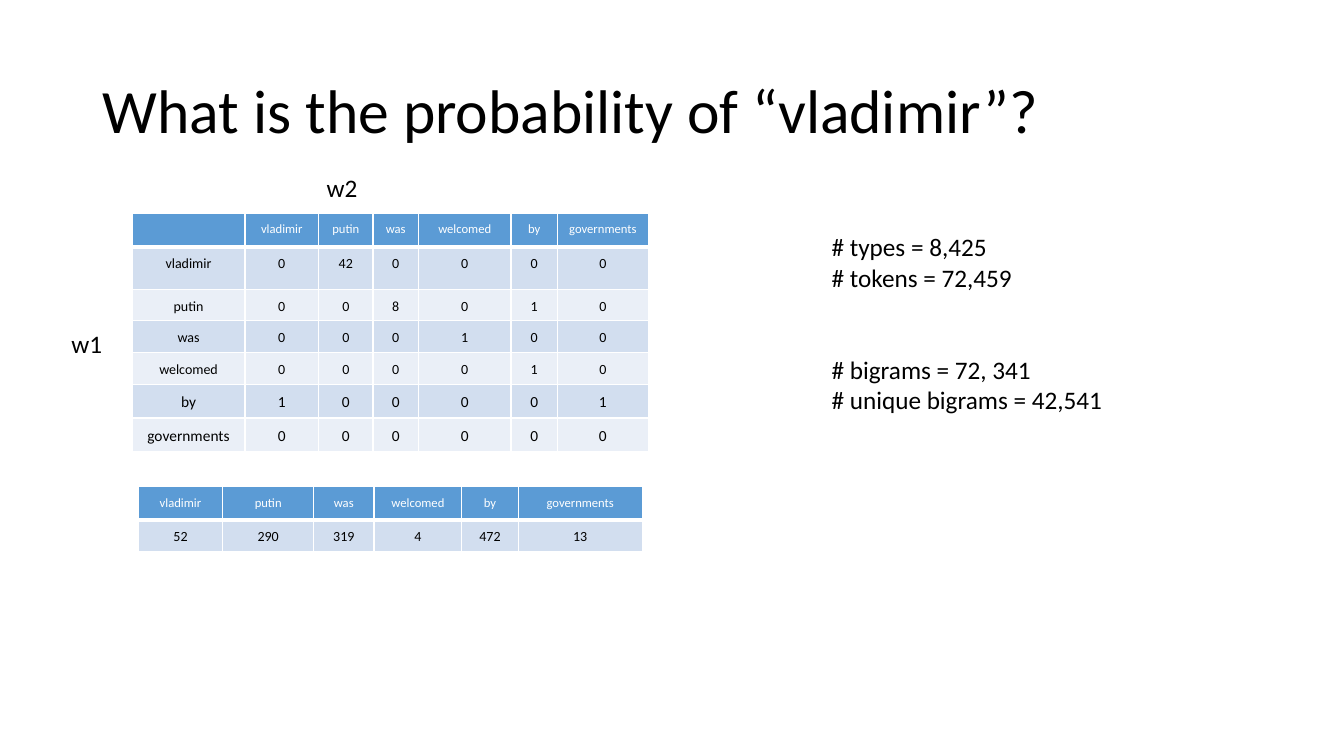
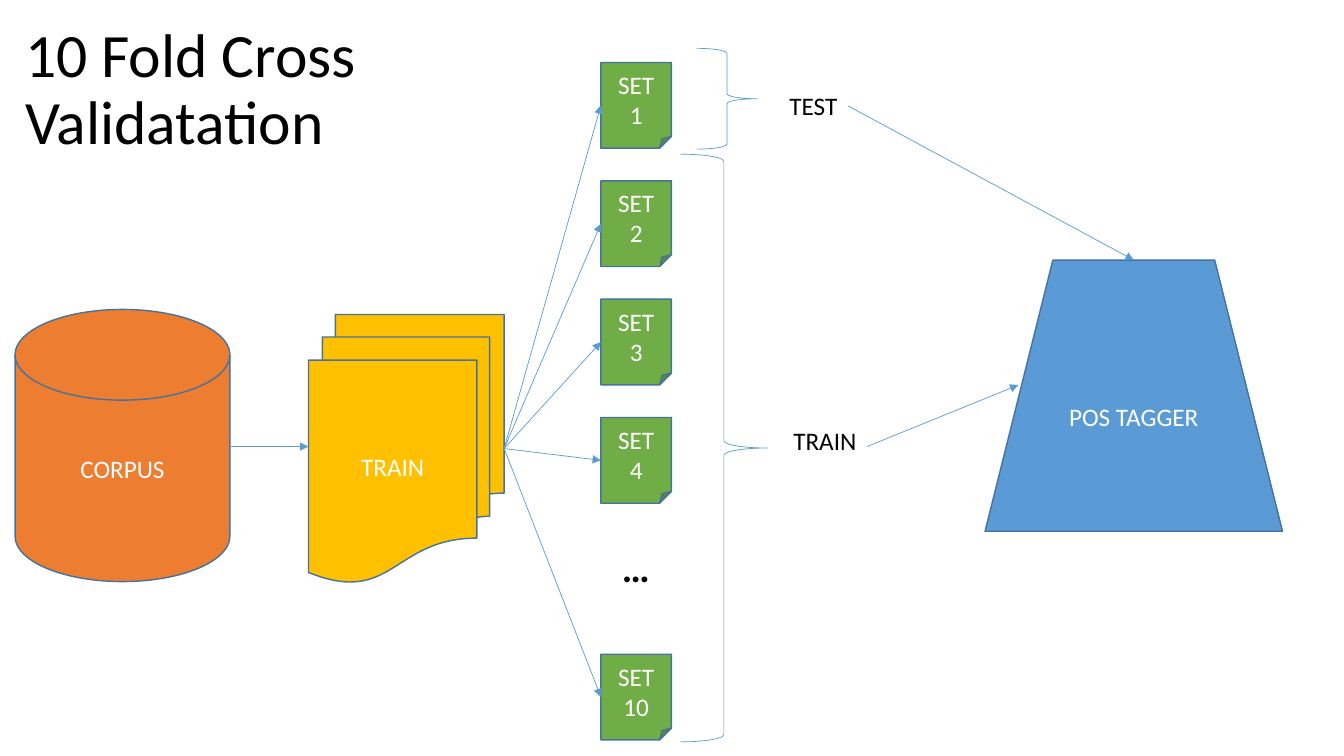
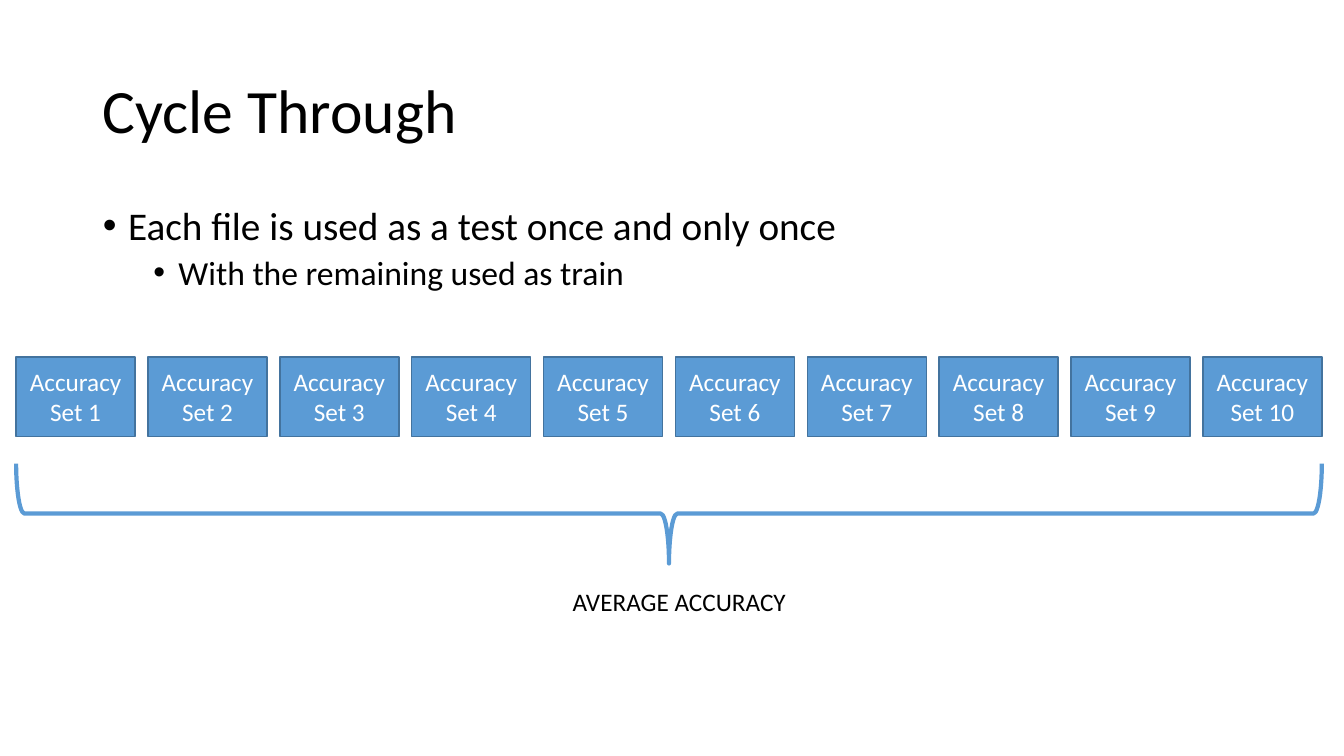
"""Builds three slides on bigram counts and cross validation."""
import pptx
import pptx.util
import pptx.dml.color
import pptx.enum.shapes
import pptx.enum.text
import pptx.oxml.ns
import lxml.etree

Inches = pptx.util.Inches
Pt = pptx.util.Pt
RGBColor = pptx.dml.color.RGBColor
Shape = pptx.enum.shapes.MSO_SHAPE
Align = pptx.enum.text.PP_ALIGN
Anchor = pptx.enum.text.MSO_ANCHOR
Fit = pptx.enum.text.MSO_AUTO_SIZE
qn = pptx.oxml.ns.qn

FONT = "Calibri"
BLACK = RGBColor(0x00, 0x00, 0x00)
WHITE = RGBColor(0xFF, 0xFF, 0xFF)
BLUE = RGBColor(0x5B, 0x9B, 0xD5)
NAVY = RGBColor(0x43, 0x73, 0x9E)
ORANGE = RGBColor(0xED, 0x7D, 0x31)
GOLD = RGBColor(0xFF, 0xC0, 0x00)
GREEN = RGBColor(0x70, 0xAD, 0x47)
BANDS = [RGBColor(0xD2, 0xDE, 0xEF), RGBColor(0xEA, 0xEF, 0xF7)]

WORDS = ["vladimir", "putin", "was", "welcomed", "by", "governments"]
PAIRS = [
    [0, 42, 0, 0, 0, 0],
    [0, 0, 8, 0, 1, 0],
    [0, 0, 0, 1, 0, 0],
    [0, 0, 0, 0, 1, 0],
    [1, 0, 0, 0, 0, 1],
    [0, 0, 0, 0, 0, 0],
]
TOTALS = [52, 290, 319, 4, 472, 13]


def write(frame, lines, size=18, color=BLACK, align=Align.LEFT, bold=False, space=1.0):
    """Fill a text frame with one paragraph per line and return the paragraphs."""
    paras = []
    for i, line in enumerate(lines):
        para = frame.add_paragraph() if i else frame.paragraphs[0]
        para.alignment = align
        para.line_spacing = space
        for j, part in enumerate(line.split("\n")):
            if j:
                para.add_line_break()
            run = para.add_run()
            run.text = part
            run.font.name = FONT
            run.font.size = Pt(size)
            run.font.bold = bold
            run.font.color.rgb = color
        paras.append(para)
    return paras


def place(item, left, top, width, height):
    """Set the position and size of an item in inches."""
    item.left, item.top = Inches(left), Inches(top)
    item.width, item.height = Inches(width), Inches(height)


def start(deck, layout, text, left=0.92, top=0.4):
    """Add a slide with a formatted title."""
    slide = deck.slides.add_slide(deck.slide_layouts[layout])
    title = slide.shapes.title
    place(title, left, top, 11.5, 1.45)
    title.text_frame.auto_size = Fit.NONE
    title.text_frame.vertical_anchor = Anchor.MIDDLE
    write(title.text_frame, [text], 44, space=0.9)
    return slide


def label(slide, box, lines, size=18, bold=False, wrap=False):
    """Add a plain text box."""
    item = slide.shapes.add_textbox(*map(Inches, box))
    item.text_frame.word_wrap = wrap
    item.text_frame.auto_size = Fit.SHAPE_TO_FIT_TEXT
    return item, write(item.text_frame, lines, size, bold=bold)


def block(slide, kind, box, fill, lines):
    """Add a filled shape with centred white text."""
    item = slide.shapes.add_shape(kind, *map(Inches, box))
    item.shadow.inherit = False
    item.fill.solid()
    item.fill.fore_color.rgb = fill
    item.line.color.rgb = NAVY
    item.line.width = Pt(1)
    item.text_frame.vertical_anchor = Anchor.MIDDLE
    write(item.text_frame, lines, color=WHITE, align=Align.CENTER)
    return item


def brace(slide, box, width, turn=0):
    """Add an unfilled right brace."""
    item = slide.shapes.add_shape(Shape.RIGHT_BRACE, *map(Inches, box))
    item.shadow.inherit = False
    item.fill.background()
    item.line.color.rgb = BLUE
    item.line.width = Pt(width)
    item.rotation = turn


def link(slide, tail, head, source=None, target=None):
    """Draw an arrow between two points, joined to shape sites where given."""
    points = map(Inches, (*tail, *head))
    line = slide.shapes.add_connector(pptx.enum.shapes.MSO_CONNECTOR.STRAIGHT, *points)
    line.line.color.rgb = BLUE
    line.line.width = Pt(0.5)
    props = line._element.spPr
    lxml.etree.SubElement(props.find(qn("a:ln")), qn("a:tailEnd"), type="triangle")
    lxml.etree.SubElement(props, qn("a:effectLst"))
    if source:
        line.begin_connect(*source)
    if target:
        line.end_connect(*target)


def border(cell, base):
    """Give a cell white borders, with its own width at the base."""
    props = cell._tc.get_or_add_tcPr()
    for i, side in enumerate(("lnL", "lnR", "lnT", "lnB")):
        width = base if side == "lnB" else 1
        edge = lxml.etree.Element(qn("a:" + side), w=str(Pt(width)))
        fill = lxml.etree.SubElement(edge, qn("a:solidFill"))
        lxml.etree.SubElement(fill, qn("a:srgbClr"), val=str(WHITE))
        props.insert(i, edge)


def grid(slide, left, top, widths, heights, sizes, rows):
    """Add a table with a blue head row and banded body rows."""
    box = map(Inches, (left, top, sum(widths), sum(heights)))
    table = slide.shapes.add_table(len(rows), len(widths), *box).table
    table.first_row = table.horz_banding = False
    for col, width in zip(table.columns, widths):
        col.width = Inches(width)
    for i, row in enumerate(rows):
        table.rows[i].height = Inches(heights[i])
        for j, value in enumerate(row):
            cell = table.cell(i, j)
            cell.margin_left = cell.margin_right = Inches(0.1)
            cell.margin_top = cell.margin_bottom = Inches(0.06)
            cell.fill.solid()
            cell.fill.fore_color.rgb = BANDS[(i - 1) % 2] if i else BLUE
            border(cell, 1 if i else 3)
            if value == "":
                para = cell.text_frame.paragraphs[0]._p
                lxml.etree.SubElement(para, qn("a:endParaRPr"), sz=str(sizes[i] * 100))
            else:
                write(cell.text_frame, [str(value)], sizes[i], BLACK if i else WHITE,
                      Align.CENTER, space=1.15)


def bullet(para, indent, before):
    """Give a paragraph a hanging bullet."""
    para.space_before = Pt(before)
    props = para._p.get_or_add_pPr()
    props.set("marL", str(Inches(indent)))
    props.set("indent", str(Inches(-0.25)))
    lxml.etree.SubElement(props, qn("a:buChar"), char="•")


def counts(deck):
    """Build the slide of bigram counts."""
    slide = start(deck, 5, "What is the probability of “vladimir”?")
    grid(slide, 1.37, 4.83, [0.84, 0.9, 0.6, 0.87, 0.56, 1.23], [0.33, 0.31],
         [9, 10], [WORDS, TOTALS])
    body = [[word, *row] for word, row in zip(WORDS, PAIRS)]
    grid(slide, 1.31, 2.12, [1.12, 0.73, 0.54, 0.45, 0.92, 0.46, 0.9],
         [0.33, 0.42, 0.31, 0.31, 0.31, 0.33, 0.33],
         [9, 10, 10, 10, 10, 11, 11], [["", *WORDS], *body])
    label(slide, (0.61, 3.21, 0.51, 0.4), ["w1"])
    label(slide, (3.14, 1.66, 0.51, 0.4), ["w2"])
    _, paras = label(slide, (8.15, 2.25, 2.92, 1.92), [
        "# types = 8,425", "# tokens = 72,459",
        "# bigrams = 72, 341", "# unique bigrams = 42,541"])
    paras[2].space_before = Pt(44)


def folds(deck):
    """Build the cross validation diagram."""
    slide = start(deck, 5, "10 Fold Cross\nValidatation", 0.15, 0.18)
    block(slide, Shape.FLOWCHART_MAGNETIC_DISK, (0.15, 3.07, 2.13, 2.7), ORANGE, ["CORPUS"])
    tagger = block(slide, Shape.TRAPEZOID, (9.77, 2.58, 2.95, 2.69), BLUE, ["POS TAGGER"])
    train = block(slide, Shape.FLOWCHART_MULTIDOCUMENT, (3.06, 3.12, 1.94, 2.66), GOLD, ["TRAIN"])
    link(slide, (2.29, 4.43), (3.06, 4.43))
    first, step = 0.62, (6.49 - 0.62) / 5
    for slot, number in ((0, 1), (1, 2), (2, 3), (3, 4), (5, 10)):
        top = first + slot * step
        sheet = block(slide, Shape.FOLDED_CORNER, (5.96, top, 0.7, 0.85), GREEN, [f"SET {number}"])
        link(slide, (5, 4.45), (5.96, top + 0.43), (train, 3), (sheet, 1))
    label(slide, (6.07, 5.34, 0.48, 0.57), ["…"], 28, True)
    brace(slide, (6.75, 1.53, 0.86, 5.83), 0.5)
    brace(slide, (6.91, 0.48, 0.6, 1), 0.5)
    label(slide, (7.77, 4.17, 0.83, 0.4), ["TRAIN"])
    test, _ = label(slide, (7.73, 0.85, 0.68, 0.4), ["TEST"])
    link(slide, (8.6, 4.43), (10.1, 3.82))
    link(slide, (8.41, 1.05), (11.25, 2.58), (test, 3), (tagger, 0))


def cycle(deck):
    """Build the slide of averaged accuracy."""
    slide = start(deck, 1, "Cycle Through")
    body = slide.placeholders[1]
    place(body, 0.92, 2, 11.5, 4.76)
    body.text_frame.auto_size = Fit.NONE
    paras = write(body.text_frame, ["Each file is used as a test once and only once",
                                    "With the remaining used as train"], 28, space=0.9)
    paras[1].level = 1
    paras[1].runs[0].font.size = Pt(24)
    bullet(paras[0], 0.25, 10)
    bullet(paras[1], 0.75, 5)
    left, step = 0.16, (11.93 - 0.16) / 9
    for i in range(10):
        block(slide, Shape.FLOWCHART_PROCESS, (left + i * step, 3.54, 1.18, 0.79), BLUE,
              ["Accuracy", f"Set {i + 1}"])
    brace(slide, (6.14, -1.38, 0.99, 12.95), 3, 90)
    label(slide, (5.58, 5.77, 3.95, 0.4), ["AVERAGE ACCURACY"], wrap=True)


def main():
    """Build and save the deck."""
    deck = pptx.Presentation()
    deck.slide_width, deck.slide_height = Inches(13.33), Inches(7.5)
    counts(deck)
    folds(deck)
    cycle(deck)
    deck.save("out.pptx")


if __name__ == "__main__":
    main()
